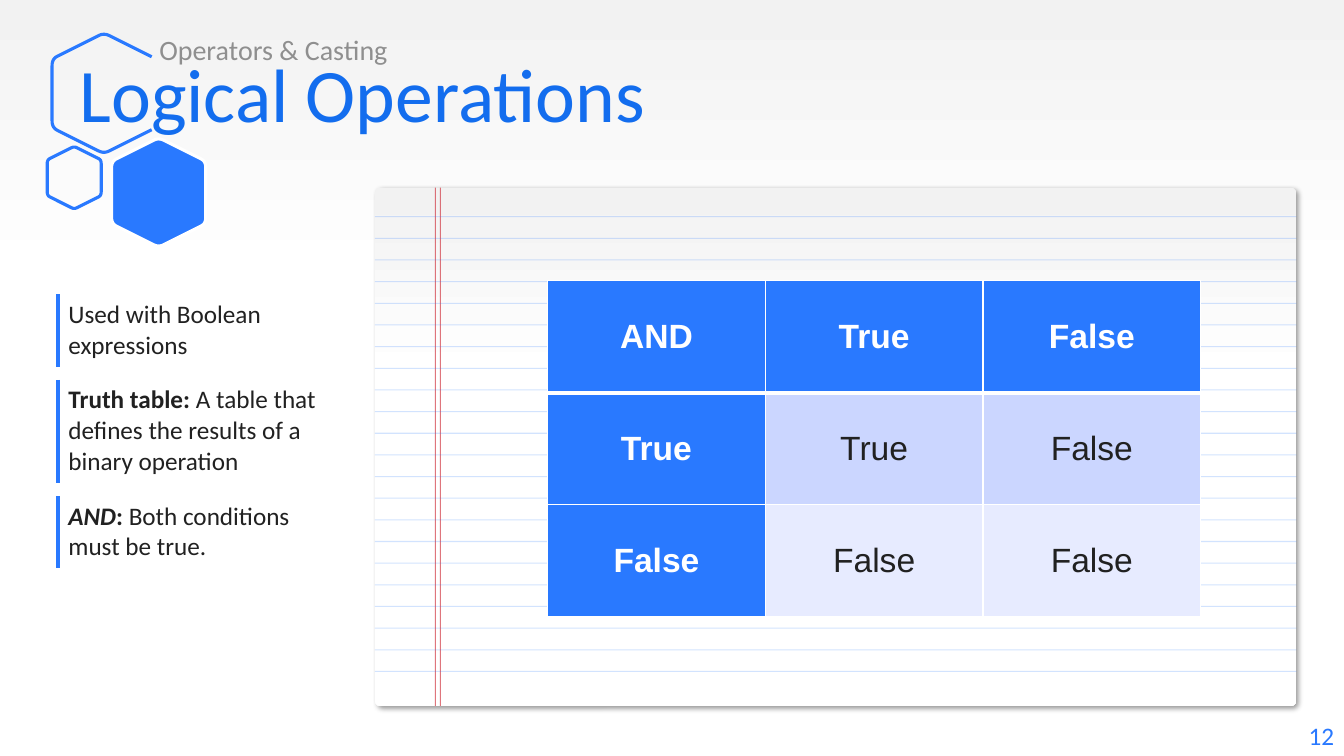
"""Build the slide on logical operations with its truth table for AND."""
from typing import NamedTuple

import lxml.etree
import pptx
import pptx.dml.color
import pptx.enum.text
import pptx.oxml.ns
import pptx.util

Cm, Pt, qn = pptx.util.Cm, pptx.util.Pt, pptx.oxml.ns.qn
Align, Anchor = pptx.enum.text.PP_ALIGN, pptx.enum.text.MSO_ANCHOR
BLUE, INK, WHITE = "2979FF", "212121", "FFFFFF"
PLAIN_TABLE = "{2D5ABB26-0587-4C30-8999-92F81FD0307C}"
PAPER_LEFT, PAPER_TOP, PAPER_WIDTH, PAPER_HEIGHT = 9.45, 4.73, 23.22, 13.06


class Span(NamedTuple):
    text: str
    bold: bool = False
    italic: bool = False


class Note(NamedTuple):
    spans: list[Span]
    height: float


class Hexagon(NamedTuple):
    x: float
    y: float
    radius: float
    line: str = BLUE
    fill: str | None = None
    is_open: bool = False


class Rule(NamedTuple):
    x1: float
    y1: float
    x2: float
    y2: float
    color: str
    opacity: int


GAP = Note([], 0.33)
NOTES = [
    Note([Span("Used with Boolean expressions")], 1.82),
    GAP,
    Note([Span("Truth table: ", True),
          Span("A table that defines the results of a binary operation")], 2.6),
    GAP,
    Note([Span("AND", True, True), Span(": ", True),
          Span("Both conditions must be true.")], 1.82),
]
HEXAGONS = [
    Hexagon(2.62, 2.35, 1.52, is_open=True),
    Hexagon(1.87, 4.48, 0.79),
    Hexagon(4, 4.85, 1.38, WHITE, BLUE),
]
TRUTH = [("AND", "True", "False"), ("True", "True", "False"), ("False", "False", "False")]
BAND_FILLS = [BLUE, "CBD6FF", "E7EBFF"]
FIRST_RULE, LAST_RULE, RULE_COUNT = 5.46, 16.92, 22
RULE_STEP = (LAST_RULE - FIRST_RULE) / (RULE_COUNT - 1)
PAPER_RIGHT, PAPER_BOTTOM = PAPER_LEFT + PAPER_WIDTH, PAPER_TOP + PAPER_HEIGHT
RULES = [Rule(x, PAPER_TOP, x, PAPER_BOTTOM, "CB1925", 60) for x in (10.97, 11.1)] + [
    Rule(PAPER_LEFT, y, PAPER_RIGHT, y, "2274FE", 20)
    for y in (FIRST_RULE + i * RULE_STEP for i in range(RULE_COUNT))
]


def rgb(color: str) -> pptx.dml.color.RGBColor:
    """Turn a hex string into a colour."""
    return pptx.dml.color.RGBColor.from_string(color)


def sub(parent, tag: str, **attributes):
    """Append a DrawingML child element."""
    return lxml.etree.SubElement(
        parent, qn(tag), {key: str(value) for key, value in attributes.items()})


def fade_down(fill) -> None:
    """Fill with light grey that fades down to white."""
    fill.gradient()
    fill.gradient_angle = 270
    for stop, color, position in zip(fill.gradient_stops, ("F2F2F2", WHITE), (0, 0.37)):
        stop.color.rgb = rgb(color)
        stop.position = position


def write(paragraph, span: Span, size: float, color: str, font: str = "Calibri") -> None:
    """Add one formatted run to a paragraph."""
    run = paragraph.add_run()
    run.text = span.text
    run.font.name, run.font.size = font, Pt(size)
    run.font.bold, run.font.italic = span.bold, span.italic
    run.font.color.rgb = rgb(color)


def place(shape, left: float, top: float, width: float, height: float) -> None:
    """Move and size a shape in centimetres."""
    shape.left, shape.top, shape.width, shape.height = map(Cm, (left, top, width, height))


def draw_paper(shapes) -> None:
    """Draw the notebook sheet with its soft shadow."""
    sheet = shapes.add_shape(pptx.enum.shapes.MSO_SHAPE.ROUNDED_RECTANGLE,
                             *map(Cm, (PAPER_LEFT, PAPER_TOP, PAPER_WIDTH, PAPER_HEIGHT)))
    sheet.adjustments[0] = 0.01
    fade_down(sheet.fill)
    sheet.line.fill.background()
    sheet.shadow.inherit = False
    effects = sheet.element.spPr.find(qn("a:effectLst"))
    shadow = sub(effects, "a:outerShdw", blurRad=Pt(4), dist=Pt(3), dir=45 * 60000,
                 algn="tl", rotWithShape=0)
    sub(sub(shadow, "a:srgbClr", val="000000"), "a:alpha", val=40000)


def draw_rule(shapes, rule: Rule) -> None:
    """Draw one translucent notebook line."""
    stroke = shapes.add_connector(pptx.enum.shapes.MSO_CONNECTOR.STRAIGHT,
                                  *map(Cm, (rule.x1, rule.y1, rule.x2, rule.y2)))
    stroke.line.width = Pt(0.75)
    stroke.line.color.rgb = rgb(rule.color)
    properties = stroke.element.spPr
    sub(next(properties.iter(qn("a:srgbClr"))), "a:alpha", val=rule.opacity * 1000)
    sub(properties, "a:effectLst")


def toward(start: tuple, end: tuple, share: float) -> tuple:
    """Return the point at a share of the way between two points."""
    return tuple(a + (b - a) * share for a, b in zip(start, end))


def rounded(before: tuple, corner: tuple, after: tuple) -> list[tuple]:
    """Return points along a rounded corner."""
    entry, leave = toward(corner, before, 0.1), toward(corner, after, 0.1)
    return [toward(toward(entry, corner, t), toward(corner, leave, t), t)
            for t in (i / 6 for i in range(7))]


def draw_hexagon(shapes, hexagon: Hexagon) -> None:
    """Draw an upright hexagon with rounded corners, closed or open to the right."""
    half, shoulder = 0.86 * hexagon.radius, 0.57 * hexagon.radius
    offsets = [(half, shoulder), (0, hexagon.radius), (-half, shoulder),
               (-half, -shoulder), (0, -hexagon.radius), (half, -shoulder)]
    corners = [(hexagon.x + dx, hexagon.y + dy) for dx, dy in offsets]
    turns = range(1, 5) if hexagon.is_open else range(6)
    points = [point for i in turns
              for point in rounded(corners[i - 1], corners[i], corners[(i + 1) % 6])]
    if hexagon.is_open:
        points = [toward(corners[0], corners[1], 0.08), *points,
                  toward(corners[5], corners[4], 0.08)]
    start, *others = [(Cm(x), Cm(y)) for x, y in points]
    builder = shapes.build_freeform(*start)
    builder.add_line_segments(others, close=not hexagon.is_open)
    outline = builder.convert_to_shape()
    outline.shadow.inherit = False
    outline.line.color.rgb, outline.line.width = rgb(hexagon.line), Pt(2.25)
    if hexagon.fill:
        outline.fill.solid()
        outline.fill.fore_color.rgb = rgb(hexagon.fill)
    else:
        outline.fill.background()


def add_plain_table(shapes, rows: int, columns: int, *box: float):
    """Add a table without style or banding."""
    table = shapes.add_table(rows, columns, *map(Cm, box)).table
    table.first_row = table.horz_banding = False
    next(table._tbl.iter(qn("a:tableStyleId"))).text = PLAIN_TABLE
    return table


def border(cell, side: str, color: str, width: float) -> None:
    """Draw one side of a cell, in the order L, R, T, B."""
    edge = sub(cell._tc.get_or_add_tcPr(), f"a:ln{side}", w=Pt(width))
    sub(sub(edge, "a:solidFill"), "a:srgbClr", val=color)


def draw_notes(shapes) -> None:
    """Draw the notes, each with a blue bar at its left."""
    table = add_plain_table(shapes, len(NOTES), 1, 1.47, 7.42, 7.34,
                            sum(note.height for note in NOTES))
    for row, note in zip(table.rows, NOTES):
        row.height = Cm(note.height)
        cell = row.cells[0]
        paragraph = cell.text_frame.paragraphs[0]
        if note.spans:
            border(cell, "L", BLUE, 3)
        else:
            cell.margin_top = cell.margin_bottom = 0
            sub(paragraph._p, "a:endParaRPr", sz=100)
        for span in note.spans:
            write(paragraph, span, 18, INK)


def draw_truth_table(shapes) -> None:
    """Draw the truth table with blue header row and column."""
    table = add_plain_table(shapes, 3, 3, 13.8, 7.07, 16.46, 8.48)
    for r, values in enumerate(TRUTH):
        for c, value in enumerate(values):
            cell, is_header = table.cell(r, c), r == 0 or c == 0
            for side, width in zip("LRTB", (1, 1, 3 if r == 1 else 1, 3 if r == 0 else 1)):
                border(cell, side, WHITE, width)
            cell.fill.solid()
            cell.fill.fore_color.rgb = rgb(BLUE if is_header else BAND_FILLS[r])
            cell.vertical_anchor = Anchor.MIDDLE
            paragraph = cell.text_frame.paragraphs[0]
            paragraph.alignment = Align.CENTER
            write(paragraph, Span(value, is_header), 24, WHITE if is_header else INK, "Arial")


def draw_headings(shapes) -> None:
    """Fill the title and the topic line above it."""
    title, topic = shapes.title, shapes.placeholders[1]
    place(title, 1.75, 0.81, 29.18, 3.05)
    place(topic, 3.76, 0.69, 11.3, 0.91)
    for heading, text, size, color in ((title, "Logical Operations", 54, "136DEE"),
                                       (topic, "Operators & Casting", 20, "8F8F8F")):
        shapes.element.append(heading.element)
        heading.text_frame.auto_size = pptx.enum.text.MSO_AUTO_SIZE.NONE
        paragraph = heading.text_frame.paragraphs[0]
        paragraph.alignment, paragraph.space_before = Align.LEFT, Pt(0)
        write(paragraph, Span(text), size, color)
    title.text_frame.vertical_anchor = Anchor.MIDDLE
    indents = topic.text_frame.paragraphs[0]._p.get_or_add_pPr()
    indents.set("marL", "0")
    indents.set("indent", "0")
    sub(indents, "a:buNone")


def draw_page_number(shapes) -> None:
    """Write the page number in the lower right corner."""
    page = shapes.add_textbox(*map(Cm, (29.41, 18.03, 4.46, 1.02))).text_frame
    page.word_wrap = True
    page.paragraphs[0].alignment = Align.RIGHT
    write(page.paragraphs[0], Span("12"), 18, BLUE)


def main() -> None:
    """Build and save the slide."""
    deck = pptx.Presentation()
    deck.slide_width, deck.slide_height = Cm(33.87), Cm(19.05)
    slide = deck.slides.add_slide(deck.slide_layouts[1])
    fade_down(slide.background.fill)
    draw_paper(slide.shapes)
    for hexagon in HEXAGONS:
        draw_hexagon(slide.shapes, hexagon)
    for rule in RULES:
        draw_rule(slide.shapes, rule)
    draw_page_number(slide.shapes)
    draw_headings(slide.shapes)
    draw_notes(slide.shapes)
    draw_truth_table(slide.shapes)
    deck.save("out.pptx")


if __name__ == "__main__":
    main()
